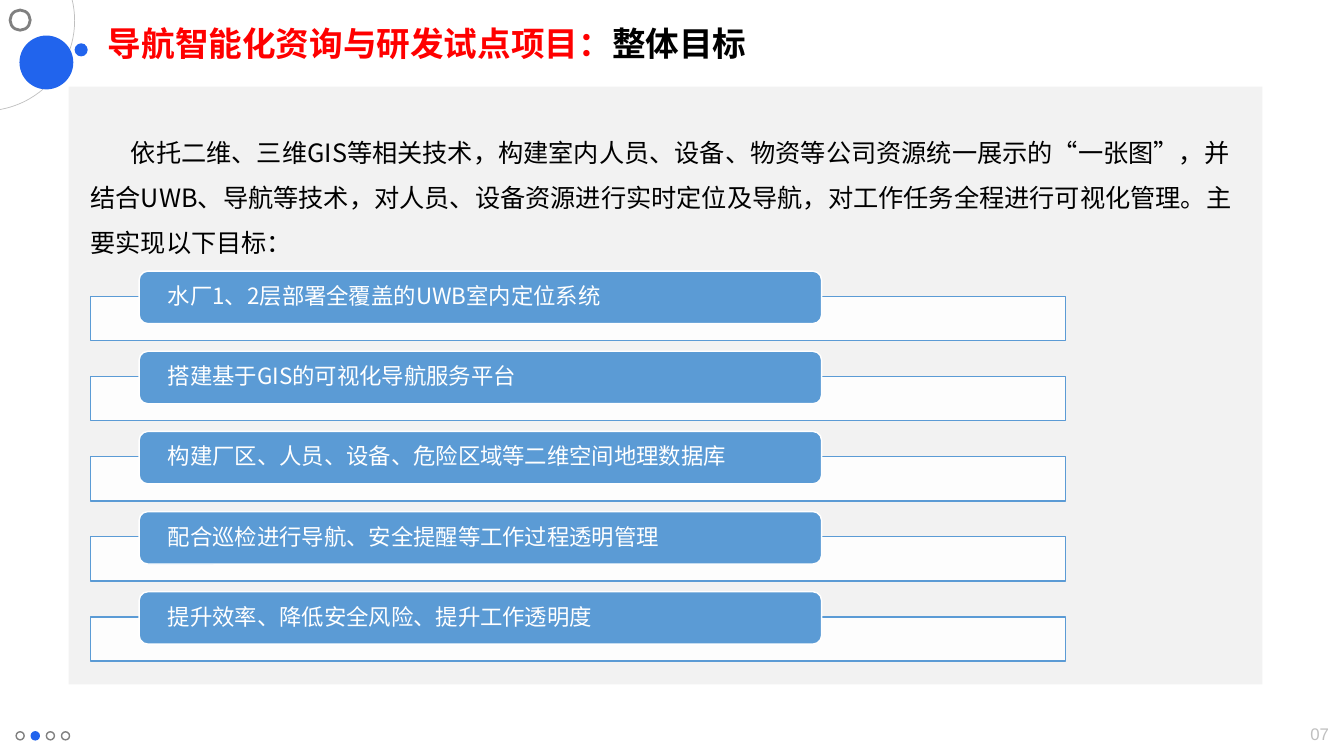
from dataclasses import dataclass

from lxml import etree
from pptx import Presentation
from pptx import util as u
from pptx.dml.color import RGBColor
from pptx.enum import shapes, text
from pptx.oxml import ns

SHAPE = shapes.MSO_SHAPE
ANCHOR = text.MSO_ANCHOR
ALIGN = text.PP_ALIGN


@dataclass(frozen=True)
class Theme:
    """Colours, fonts and type sizes of the slide."""
    accent: str = "2164ED"
    bar: str = "5B9BD5"
    panel: str = "F2F2F2"
    white: str = "FFFFFF"
    black: str = "000000"
    red: str = "FF0000"
    grey: str = "808080"
    pale: str = "BFBFBF"
    font: str = "Noto Sans CJK SC"
    number_font: str = "Arial"
    title: int = 24
    body: int = 18
    goal: int = 16
    number: int = 12


T = Theme()
INTRO = ("依托二维、三维GIS等相关技术，构建室内人员、设备、物资等公司资源统一展示的“一张图”，"
         "并结合UWB、导航等技术，对人员、设备资源进行实时定位及导航，"
         "对工作任务全程进行可视化管理。主要实现以下目标：")
GOALS = [
    "水厂1、2层部署全覆盖的UWB室内定位系统",
    "搭建基于GIS的可视化导航服务平台",
    "构建厂区、人员、设备、危险区域等二维空间地理数据库",
    "配合巡检进行导航、安全提醒等工作过程透明管理",
    "提升效率、降低安全风险、提升工作透明度",
]


def inches(*values):
    """Convert several lengths in inches."""
    return [u.Inches(v) for v in values]


def add_shape(s, kind, box, fill=None, line=None, width=1, alpha=None):
    """Add a flat preset shape with optional fill, outline and opacity."""
    sp = s.shapes.add_shape(kind, *inches(*box))
    sp.shadow.inherit = False
    if fill:
        sp.fill.solid()
        sp.fill.fore_color.rgb = RGBColor.from_string(fill)
    else:
        sp.fill.background()
    if line:
        sp.line.color.rgb = RGBColor.from_string(line)
        sp.line.width = u.Pt(width)
    else:
        sp.line.fill.background()
    if alpha is not None:
        color = sp.fill._xPr.find(".//" + ns.qn("a:srgbClr"))
        etree.SubElement(color, ns.qn("a:alpha")).set("val", str(alpha * 1000))
    return sp


def set_font(p, size, color, name=T.font, bold=False):
    """Format a paragraph for Latin and East Asian text."""
    p.font.size = u.Pt(size)
    p.font.bold = bold
    p.font.color.rgb = RGBColor.from_string(color)
    p.font.name = name
    east_asian = etree.SubElement(p.font._element, ns.qn("a:ea"))
    east_asian.set("typeface", name)


def add_title(s, box):
    """Place the two-colour title."""
    sp = s.shapes.title
    sp.left, sp.top, sp.width, sp.height = inches(*box)
    tf = sp.text_frame
    tf.word_wrap = True
    tf.auto_size = text.MSO_AUTO_SIZE.NONE
    tf.vertical_anchor = ANCHOR.TOP
    p = tf.paragraphs[0]
    p.alignment = ALIGN.LEFT
    set_font(p, T.title, T.black, bold=True)
    for words, color in (("导航智能化资询与研发试点项目：", T.red), ("整体目标", T.black)):
        r = p.add_run()
        r.text = words
        r.font.color.rgb = RGBColor.from_string(color)


def add_corner(s, x, y):
    """Draw the orbit and its three circles from the given corner."""
    arc = add_shape(s, SHAPE.ARC, (x - 1.05, y - 0.69, 1.79, 1.79), line=T.pale, width=0.5)
    arc.adjustments[0] = 207.72
    arc.adjustments[1] = 48.6
    for dx, dy, size, fill, line, width in (
            (0.2, 0.36, 0.52, T.accent, T.accent, 1),
            (0.74, 0.43, 0.13, T.accent, None, 1),
            (0.1, 0.1, 0.2, None, T.grey, 2)):
        add_shape(s, SHAPE.OVAL, (x + dx, y + dy, size, size), fill, line, width)


def add_footer(s, box, active=1, count=4):
    """Place the progress dots at the left and the page number at the right."""
    x, y, w, h = box
    for i in range(count):
        dot = (x + 0.15 * i, y + 0.19, 0.08, 0.08)
        fill, line = (T.accent, T.accent) if i == active else (None, T.grey)
        add_shape(s, SHAPE.OVAL, dot, fill, line)
    tf = s.shapes.add_textbox(*inches(x + w - 0.8, y, 0.8, h)).text_frame
    tf.word_wrap = True
    tf.vertical_anchor = ANCHOR.MIDDLE
    p = tf.paragraphs[0]
    p.text = "07"
    p.alignment = ALIGN.RIGHT
    set_font(p, T.number, T.pale, T.number_font)


def add_intro(s, box):
    """Place the introduction with an indented first line."""
    tf = s.shapes.add_textbox(*inches(*box)).text_frame
    tf.word_wrap = True
    p = tf.paragraphs[0]
    p.text = INTRO
    p.line_spacing = 1.5
    p._p.get_or_add_pPr().set("indent", str(u.Inches(0.4)))
    set_font(p, T.body, T.black)


def add_goals(s, box):
    """Stack one frame and one labelled bar per goal."""
    x, y, w, h = box
    frame_h, bar_h, offset = 0.44, 0.52, 0.25
    pitch = (h - offset - frame_h) / (len(GOALS) - 1)
    for i, goal in enumerate(GOALS):
        top = y + i * pitch
        add_shape(s, SHAPE.RECTANGLE, (x, top + offset, w, frame_h), T.white, T.bar, alpha=90)
        bar = (x + 0.48, top, 0.7 * w, bar_h)
        tf = add_shape(s, SHAPE.ROUNDED_RECTANGLE, bar, T.bar, T.white).text_frame
        tf.word_wrap = True
        tf.vertical_anchor = ANCHOR.MIDDLE
        tf.margin_left = tf.margin_right = u.Inches(0.26)
        tf.margin_top = tf.margin_bottom = 0
        p = tf.paragraphs[0]
        p.text = goal
        p.alignment = ALIGN.LEFT
        p.line_spacing = 0.9
        set_font(p, T.goal, T.white)


def add_panel(s, box):
    """Draw the grey panel with the introduction and the goals."""
    x, y, w, h = box
    add_shape(s, SHAPE.RECTANGLE, box, T.panel)
    add_intro(s, (x + 0.12, y + 0.3, w - 0.24, 1.41))
    add_goals(s, (x + 0.22, y + 1.83, 9.67, 3.87))


def main():
    """Build and save the slide."""
    prs = Presentation()
    prs.slide_width, prs.slide_height = inches(13.33, 7.5)
    s = prs.slides.add_slide(prs.slide_layouts[5])
    add_corner(s, 0, 0)
    add_title(s, (0.97, 0.18, 10.63, 0.5))
    add_footer(s, (0.16, 7.07, 13.12, 0.43))
    add_panel(s, (0.68, 0.86, 11.84, 5.93))
    prs.save("out.pptx")


if __name__ == "__main__":
    main()
